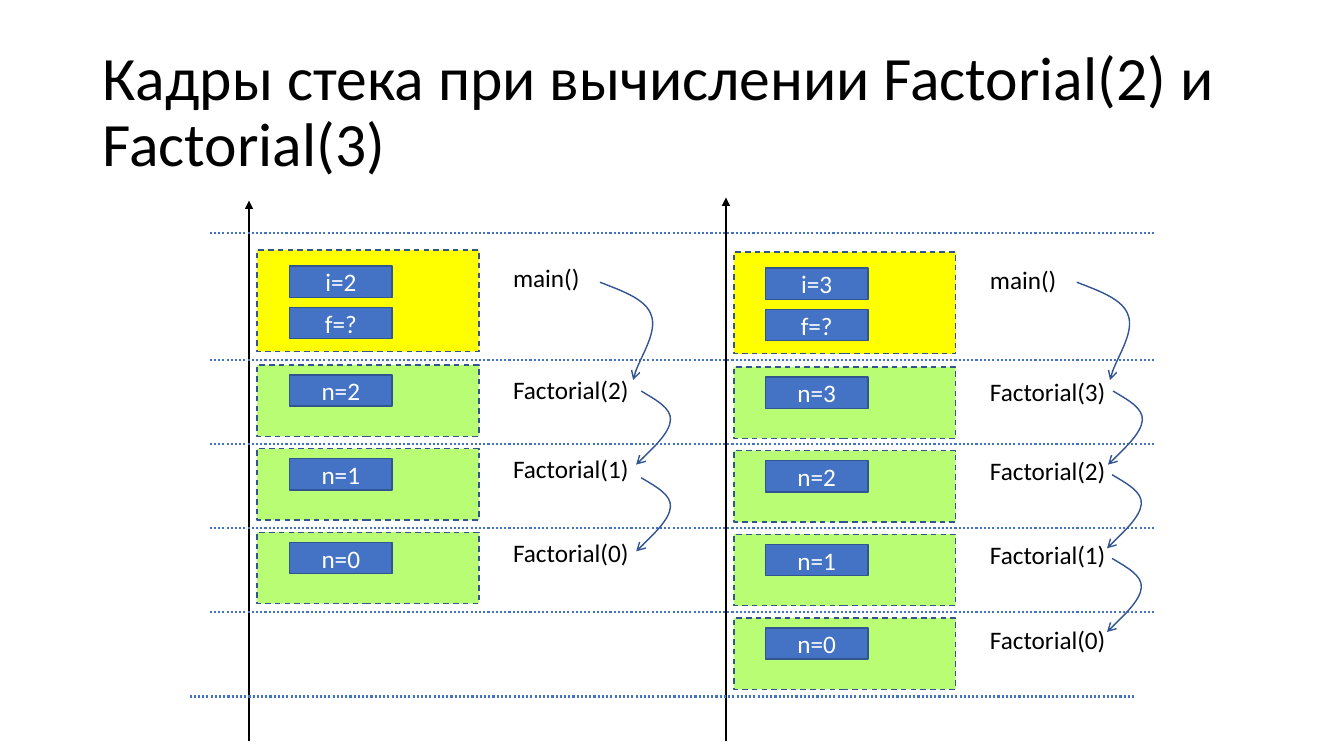
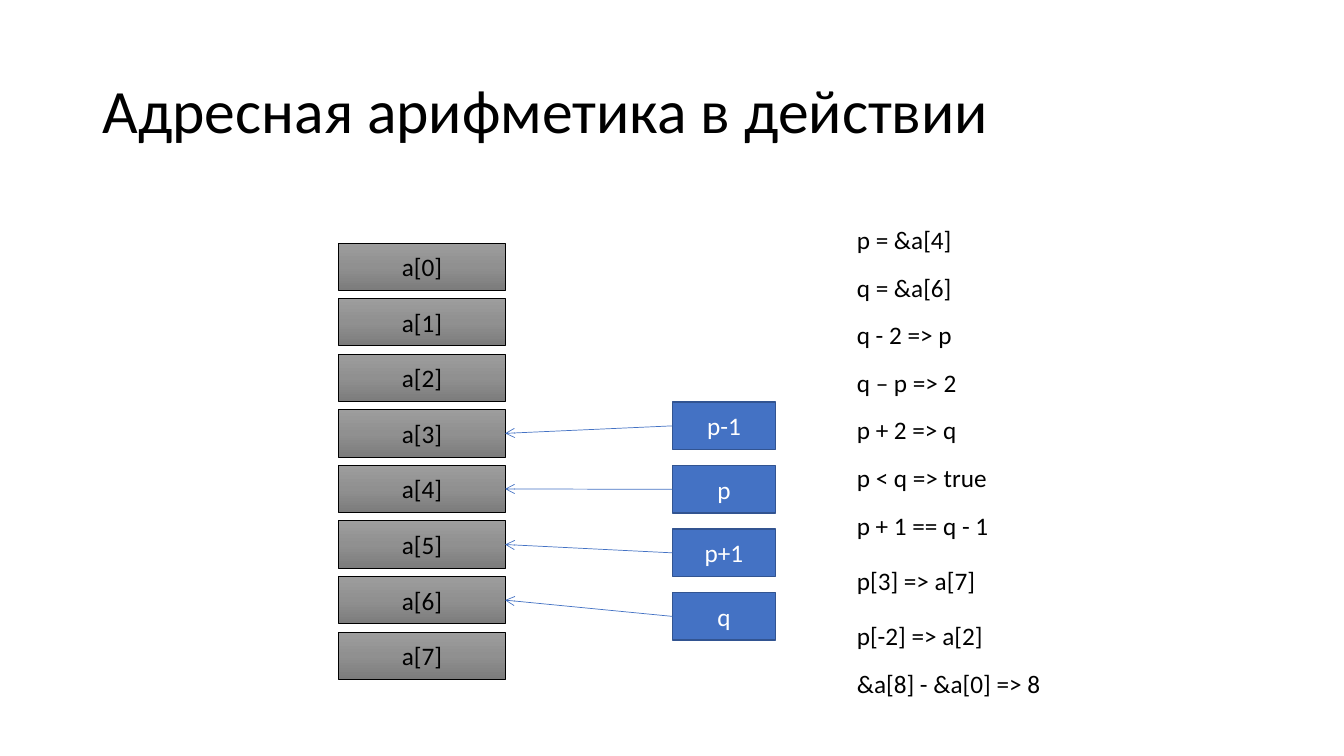
"""Builds two slides: stack frames of a recursive call and pointer arithmetic."""
from copy import deepcopy
from dataclasses import dataclass

from lxml.etree import SubElement as Sub
from pptx import Presentation
from pptx.dml.color import RGBColor
from pptx.enum.dml import MSO_LINE as Dash
from pptx.enum.shapes import MSO_CONNECTOR as Conn, MSO_SHAPE as Form
from pptx.enum.text import MSO_ANCHOR as Anchor, MSO_AUTO_SIZE as Auto, PP_ALIGN as Align
from pptx.oxml.ns import qn
from pptx.util import Inches, Pt

FONT = "Calibri"
BLACK, WHITE = "000000", "FFFFFF"
BLUE, NAVY = "4472C4", "325491"
YELLOW, GREEN = "FFFF00", "B8FD73"
GREYS = ((0, "9D9D9D"), (0.5, "909090"), (1, "7C7C7C"))

Point = tuple[float, float]
Curve = tuple[Point, ...]


@dataclass(frozen=True)
class Box:
    x: float
    y: float
    w: float
    h: float

    @property
    def mid(self) -> float:
        return self.y + self.h / 2


@dataclass(frozen=True)
class Pen:
    tint: str
    width: float
    dash: Dash | None = None
    tip: str = ""


@dataclass(frozen=True)
class Stack:
    x: float
    y: float
    top: float
    count: int
    inset: float
    calls: Curve


@dataclass(frozen=True)
class Fact:
    text: str
    width: float
    gap: float = 0.47


EDGE = Pen(NAVY, 1)
FRAME = Pen(NAVY, 1, Dash.DASH)
RULE = Pen(BLUE, 1.5, Dash.ROUND_DOT)
AXIS = Pen(BLACK, 1.5, tip="triangle")
CALL = Pen(NAVY, 1, tip="arrow")
REF = Pen(BLUE, 0.5, tip="arrow")
THIN = Pen(BLACK, 0.5)

STACKS = (
    Stack(7.28, 2.5, 1.96, 3, 0.31,
          ((10.68, 2.8), (11.04, 3.88), (11.03, 4.71), (11.03, 5.54))),
    Stack(2.55, 2.48, 1.99, 2, 0.32, ((5.95, 2.8), (6.36, 3.88), (6.36, 4.74))),
)
DROPS = (1.18, 1.97, 2.8, 3.64)
FIRST = (((0.23, 0.09), (0.46, 0.17), (0.51, 0.33)),
         ((0.57, 0.49), (0.35, 0.83), (0.33, 0.97)))
NEXT = (((0.15, 0.09), (0.3, 0.17), (0.29, 0.29)),
        ((0.28, 0.42), (-0.05, 0.73), (-0.05, 0.73)))
FACTS = (
    Fact("p = &a[4]", 1.15), Fact("q = &a[6]", 1.15), Fact("q - 2 => p", 1.16),
    Fact("q – p => 2", 1.21), Fact("p + 2 => q", 1.21, 0.48),
    Fact("p < q => true", 1.51), Fact("p + 1 == q - 1", 1.53, 0.55),
    Fact("p[3] => a[7]", 1.39, 0.55), Fact("p[-2] => a[2]", 1.47),
    Fact("&a[8] - &a[0] => 8", 2.04),
)


def paint(code: str) -> RGBColor:
    return RGBColor.from_string(code)


def place(box: Box) -> tuple:
    return Inches(box.x), Inches(box.y), Inches(box.w), Inches(box.h)


def ink(shape, pen: Pen) -> None:
    line = shape.line
    line.color.rgb = paint(pen.tint)
    line.width = Pt(pen.width)
    if pen.dash:
        line.dash_style = pen.dash
    if pen.tip:
        Sub(shape.element.spPr.get_or_add_ln(), qn("a:tailEnd"), type=pen.tip)


def write(shape, text: str, size: int = 18, tint: str = BLACK, align=Align.LEFT):
    part = shape.text_frame.paragraphs[0]
    part.alignment = align
    run = part.add_run()
    run.text = text
    run.font.name = FONT
    run.font.size = Pt(size)
    run.font.color.rgb = paint(tint)
    return part


def title(slide, text: str) -> None:
    shape = slide.shapes.add_textbox(*place(Box(0.92, 0.4, 11.5, 1.45)))
    shape.text_frame.word_wrap = True
    shape.text_frame.vertical_anchor = Anchor.MIDDLE
    write(shape, text, 44).line_spacing = 0.9


def label(slide, x: float, y: float, width: float, text: str) -> None:
    shape = slide.shapes.add_textbox(*place(Box(x, y, width, 0.4)))
    shape.text_frame.word_wrap = False
    shape.text_frame.auto_size = Auto.SHAPE_TO_FIT_TEXT
    write(shape, text)


def block(slide, box: Box, fill: str, pen: Pen, text: str = "", tint: str = WHITE):
    shape = slide.shapes.add_shape(Form.RECTANGLE, *place(box))
    shape.shadow.inherit = False
    shape.fill.solid()
    shape.fill.fore_color.rgb = paint(fill)
    ink(shape, pen)
    if text:
        shape.text_frame.vertical_anchor = Anchor.MIDDLE
        write(shape, text, tint=tint, align=Align.CENTER)
    return shape


def shade(shape) -> None:
    fill = shape.fill
    fill.gradient()
    fill.gradient_angle = 270
    stops = shape.element.spPr.find(qn("a:gradFill")).find(qn("a:gsLst"))
    stops.insert(1, deepcopy(stops[0]))
    for stop, (spot, tint) in zip(fill.gradient_stops, GREYS):
        stop.position = spot
        stop.color.rgb = paint(tint)


def link(slide, start: Point, end: Point, pen: Pen):
    line = slide.shapes.add_connector(Conn.STRAIGHT, *map(Inches, start + end))
    ink(line, pen)
    Sub(line.element.spPr, qn("a:effectLst"))
    return line


def swoop(slide, start: Point, parts: tuple[Curve, ...]) -> None:
    x, y = start
    ends = [(Inches(x + part[-1][0]), Inches(y + part[-1][1])) for part in parts]
    pen = slide.shapes.build_freeform(Inches(x), Inches(y))
    pen.add_line_segments(ends, close=False)
    shape = pen.convert_to_shape()
    shape.shadow.inherit = False
    shape.fill.background()
    ink(shape, CALL)
    for node, part in zip(list(shape.element.iter(qn("a:lnTo"))), parts):
        arc = node.makeelement(qn("a:cubicBezTo"))
        for dx, dy in part:
            Sub(arc, qn("a:pt"), x=str(Inches(x + dx) - shape.left),
                y=str(Inches(y + dy) - shape.top))
        node.getparent().replace(node, arc)


def value(slide, x: float, y: float, text: str) -> None:
    block(slide, Box(x, y, 1.02, 0.31), BLUE, EDGE, text)


def frames(slide, stack: Stack) -> None:
    x, y = stack.x, stack.y
    inner = x + stack.inset
    block(slide, Box(x, y, 2.2, 1.01), YELLOW, FRAME)
    value(slide, inner, y + 0.16, f"i={stack.count}")
    value(slide, inner, y + 0.57, "f=?")
    label(slide, x + 2.44, y + 0.07, 0.87, "main()")
    for row, drop in zip(range(stack.count + 1), DROPS):
        left = stack.count - row
        top = y + 1.14 + 0.83 * row
        block(slide, Box(x, top, 2.2, 0.71), GREEN, FRAME)
        value(slide, inner, top + 0.1, f"n={left}")
        label(slide, x + 2.44, y + drop, 1.36, f"Factorial({left})")


def recurse(slide) -> None:
    for stack in STACKS:
        frames(slide, stack)
    for stack in reversed(STACKS):
        x = stack.x - 0.08
        link(slide, (x, 7.35), (x, stack.top), AXIS)
    rules = [(2.08, 2.31)] + [(2.08, 3.57 + 0.835 * row) for row in range(4)]
    for x, y in rules + [(1.88, 6.91)]:
        link(slide, (x, y), (x + 9.37, y), RULE)
    for stack in reversed(STACKS):
        for row, start in enumerate(stack.calls):
            swoop(slide, start, NEXT if row else FIRST)
    title(slide, "Кадры стека при вычислении Factorial(2) и Factorial(3)")


def address(slide) -> None:
    title(slide, "Адресная арифметика в действии")
    slots = [Box(3.36, 2.41 + 3.86 / 7 * row, 1.65, 0.47) for row in range(8)]
    cells = []
    for row, box in enumerate(slots):
        cells.append(block(slide, box, GREYS[1][1], THIN, f"a[{row}]", BLACK))
        shade(cells[-1])
    for row, name in enumerate(("p-1", "p", "p+1", "q")):
        box, goal = Box(6.67, 3.99 + 0.63 * row, 1.02, 0.47), slots[row + 3]
        shape = block(slide, box, BLUE, EDGE, name)
        line = link(slide, (box.x, box.mid), (goal.x + goal.w, goal.mid), REF)
        line.begin_connect(shape, 1)
        line.end_connect(cells[row + 3], 3)
    y = 2.18
    for fact in FACTS:
        label(slide, 8.4, y, fact.width, fact.text)
        y += fact.gap


def main() -> None:
    deck = Presentation()
    deck.slide_width, deck.slide_height = Inches(13.33), Inches(7.5)
    for draw in (recurse, address):
        draw(deck.slides.add_slide(deck.slide_layouts[6]))
    deck.save("out.pptx")


if __name__ == "__main__":
    main()
